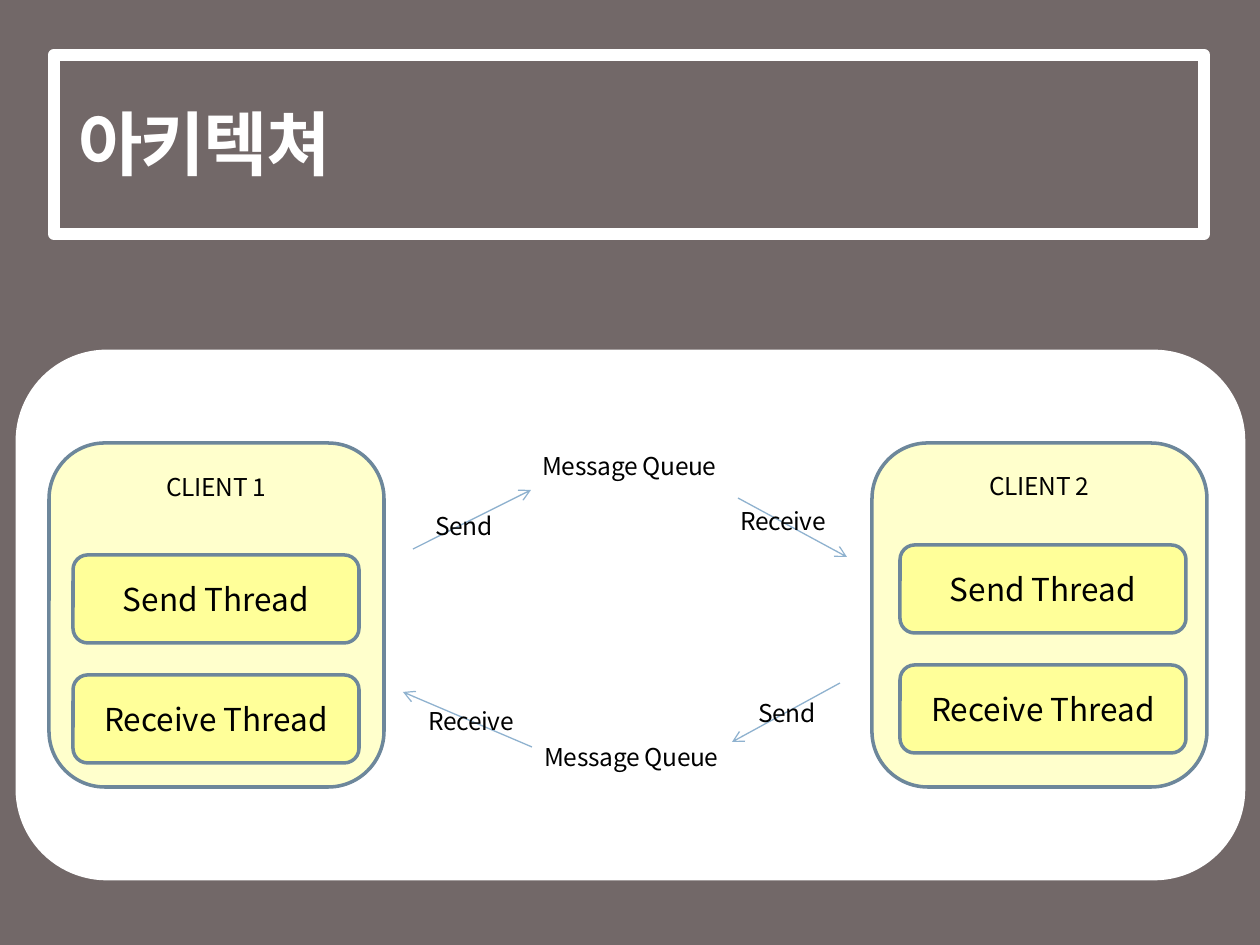
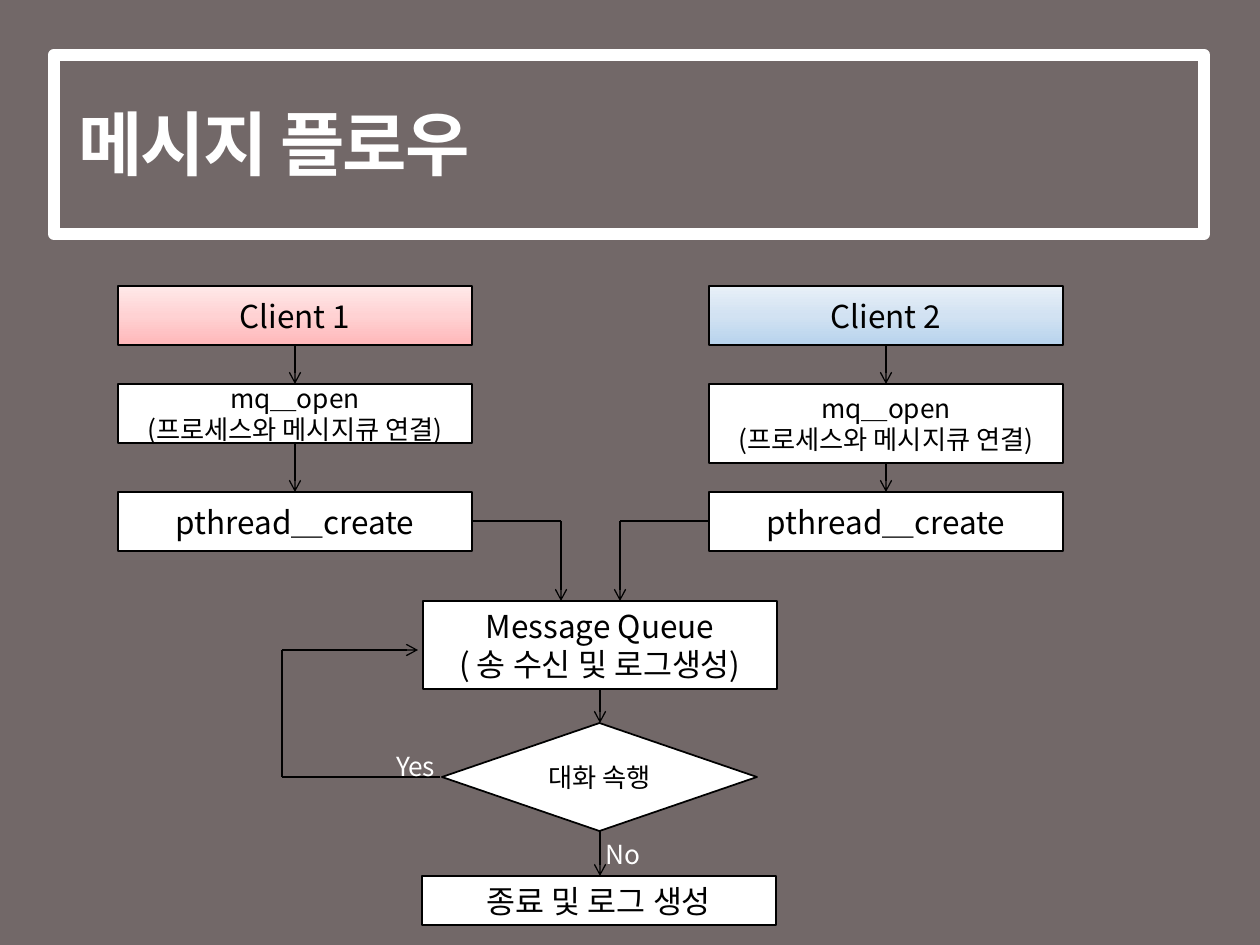
from copy import deepcopy

from pptx import Presentation
from pptx.dml.color import RGBColor
from pptx.enum.shapes import MSO_CONNECTOR, MSO_SHAPE
from pptx.enum.text import MSO_ANCHOR, MSO_AUTO_SIZE, PP_ALIGN
from pptx.oxml.ns import qn
from pptx.util import Pt

RECTANGLE = MSO_SHAPE.RECTANGLE
ROUNDED = MSO_SHAPE.ROUNDED_RECTANGLE
DECISION = MSO_SHAPE.FLOWCHART_DECISION
STRAIGHT = MSO_CONNECTOR.STRAIGHT
LEFT, CENTER = PP_ALIGN.LEFT, PP_ALIGN.CENTER
TOP, MIDDLE = MSO_ANCHOR.TOP, MSO_ANCHOR.MIDDLE
GROW = MSO_AUTO_SIZE.SHAPE_TO_FIT_TEXT

FONT = "Noto Sans CJK KR"
EMU_PER_PX = 914400 / 126
SLIDE_WIDTH, SLIDE_HEIGHT = 1260, 945

WHITE = RGBColor(0xFF, 0xFF, 0xFF)
BLACK = RGBColor(0x00, 0x00, 0x00)
BACKDROP = RGBColor(0x72, 0x68, 0x68)
CLIENT_FILL = RGBColor(0xFF, 0xFF, 0xCC)
THREAD_FILL = RGBColor(0xFF, 0xFF, 0x99)
CLIENT_LINE = RGBColor(0x6D, 0x87, 0x9B)
MESSAGE_LINE = RGBColor(0x8F, 0xB2, 0xCF)
PINKS = (RGBColor(0xFF, 0xB7, 0xB9), RGBColor(0xFF, 0xD2, 0xD3), RGBColor(0xFF, 0xE9, 0xE9))
BLUES = (RGBColor(0xB7, 0xD3, 0xED), RGBColor(0xD2, 0xE2, 0xF2), RGBColor(0xE8, 0xF0, 0xF8))


def px(length):
    """Turn pixels into EMU."""
    return round(length * EMU_PER_PX)


def write(shape, text, size=18, color=BLACK, bold=False, align=CENTER,
          anchor=MIDDLE, spacing=0, line_spacing=None, hanging=0):
    """Write the lines of text into a shape with one format."""
    frame = shape.text_frame
    frame.word_wrap = True
    frame.vertical_anchor = anchor
    for index, line in enumerate(text.split("\n")):
        paragraph = frame.add_paragraph() if index else frame.paragraphs[0]
        paragraph.alignment = align
        if line_spacing:
            paragraph.line_spacing = line_spacing
        if hanging:
            properties = paragraph._p.get_or_add_pPr()
            properties.set("marL", str(px(hanging)))
            properties.set("indent", str(-px(hanging)))
        run = paragraph.add_run()
        run.text = line
        run.font.size = Pt(size)
        run.font.bold = bold
        run.font.color.rgb = color
        run.font.name = FONT
        properties = run._r.get_or_add_rPr()
        east_asian = properties.makeelement(qn("a:ea"), {"typeface": FONT})
        properties.find(qn("a:latin")).addnext(east_asian)
        if spacing:
            properties.set("spc", str(round(spacing * 100)))


def add_text(slide, left, top, width, height, text, **text_format):
    """Add a text box and return it."""
    box = slide.shapes.add_textbox(px(left), px(top), px(width), px(height))
    write(box, text, **text_format)
    return box


def add_label(slide, left, top, width, height, text, size=14, color=BLACK, align=LEFT):
    """Add a growing diagram label."""
    label = add_text(slide, left, top, width, height, text, size=size, color=color, align=align,
                     anchor=TOP, spacing=-0.2, line_spacing=1.5, hanging=32)
    label.text_frame.auto_size = GROW


def add_box(slide, kind, left, top, width, height, fill=None, line=None, weight=1,
            text="", **text_format):
    """Add a preset shape; a tuple of colours makes a gradient rising from the bottom."""
    shape = slide.shapes.add_shape(kind, px(left), px(top), px(width), px(height))
    shape.shadow.inherit = False
    if fill is None:
        shape.fill.background()
    elif isinstance(fill, RGBColor):
        shape.fill.solid()
        shape.fill.fore_color.rgb = fill
    else:
        shape.fill.gradient()
        shape.fill.gradient_angle = 90
        stop_list = shape._element.spPr.find(".//" + qn("a:gsLst"))
        stop_list.insert(1, deepcopy(stop_list[0]))
        for index, (stop, color) in enumerate(zip(shape.fill.gradient_stops, fill)):
            stop.position = index / 2
            stop.color.rgb = color
    if line is None:
        shape.line.fill.background()
    else:
        shape.line.color.rgb = line
        shape.line.width = Pt(weight)
    if text:
        write(shape, text, **text_format)
    return shape


def add_arrow(slide, left, top, points, color=BLACK):
    """Join points, given relative to left and top, with an arrowhead at the last."""
    for start, end in zip(points, points[1:]):
        connector = slide.shapes.add_connector(
            STRAIGHT, px(left + start[0]), px(top + start[1]), px(left + end[0]), px(top + end[1]))
        connector.line.color.rgb = color
        connector.line.width = Pt(0.75)
        properties = connector._element.spPr
        properties.append(properties.makeelement(qn("a:effectLst"), {}))
    outline = connector.line._get_or_add_ln()
    outline.append(outline.makeelement(qn("a:tailEnd"), {"type": "arrow"}))


def add_titled_slide(presentation, title):
    """Add a slide with the backdrop and framed title."""
    slide = presentation.slides.add_slide(presentation.slide_layouts[6])
    add_box(slide, RECTANGLE, 0, 0, SLIDE_WIDTH, SLIDE_HEIGHT, fill=BACKDROP)
    left, top = 54, 55
    add_text(slide, left + 12, top + 8, 903, 159, title, size=40, color=WHITE, bold=True,
             align=LEFT, spacing=-1)
    add_box(slide, RECTANGLE, left, top, 1150, 179, line=WHITE, weight=7)
    return slide


def draw_client(slide, left, top, name, label_top, thread_left, thread_top):
    """Draw a client with its two threads."""
    width = 335
    add_box(slide, ROUNDED, left, top, width, 344, CLIENT_FILL, CLIENT_LINE, 2)
    for index, thread in enumerate(("Send Thread", "Receive Thread")):
        add_box(slide, ROUNDED, left + thread_left, top + thread_top + 120 * index, 286, 88,
                THREAD_FILL, CLIENT_LINE, 2, thread)
    add_label(slide, left, top + label_top, width, 52, name, align=CENTER)


def draw_exchange(slide, left, top):
    """Draw the message arrows and labels between the clients."""
    arrows = (
        ((393, 195), (511, 136)),
        ((718, 144), (827, 203)),
        ((820, 329), (712, 388)),
        ((512, 393), (383, 338)),
    )
    labels = (
        ("Message Queue", 510, 76), ("Message Queue", 512, 367),
        ("Send", 403, 136), ("Receive", 708, 131),
        ("Send", 726, 323), ("Receive", 396, 331),
    )
    for points in arrows:
        add_arrow(slide, left, top, points, MESSAGE_LINE)
    for text, label_left, label_top in labels:
        add_label(slide, left + label_left, top + label_top, 207, 52, text)


def draw_architecture(slide, left, top, width, height):
    """Draw the panel with two clients and their message queues."""
    add_box(slide, ROUNDED, left, top, width, height, WHITE, WHITE, 5)
    draw_exchange(slide, left, top)
    draw_client(slide, left + 29, top + 89, "CLIENT 1", 8, 24, 112)
    draw_client(slide, left + 852, top + 89, "CLIENT 2", 7, 28, 102)


def draw_client_steps(slide, left, top, name, fill, open_height, exit_left, merge_left):
    """Draw the start-up steps of a client and its way into the queue."""
    width, height, middle = 354, 59, 177
    open_top, create_top = 98, 206
    create_middle = create_top + height // 2
    add_box(slide, RECTANGLE, left, top, width, height, fill, BLACK, text=name)
    add_box(slide, RECTANGLE, left, top + open_top, width, open_height, WHITE, BLACK,
            text="mq＿open\n(프로세스와 메시지큐 연결)", size=15)
    add_box(slide, RECTANGLE, left, top + create_top, width, height, WHITE, BLACK,
            text="pthread＿create")
    for points in (
        ((middle, height), (middle, open_top)),
        ((middle, open_top + open_height), (middle, create_top)),
        ((exit_left, create_middle), (merge_left, create_middle), (merge_left, 315)),
    ):
        add_arrow(slide, left, top, points)


def draw_queue_loop(slide, left, top):
    """Draw the queue, the decision with its loop, and the end."""
    width, height, middle = 354, 88, 177
    add_box(slide, RECTANGLE, left, top, width, height, WHITE, BLACK,
            text="Message Queue\n( 송 수신 및 로그생성)")
    add_box(slide, DECISION, left + 19, top + 122, 315, 108, WHITE, BLACK,
            text="대화 속행", size=15)
    add_box(slide, RECTANGLE, left - 1, top + 275, width, 49, WHITE, BLACK,
            text="종료 및 로그 생성")
    for points in (
        ((middle, height), (middle, 122)),
        ((middle, 230), (middle, 275)),
        ((17, 176), (-141, 176), (-141, 49), (-5, 49)),
    ):
        add_arrow(slide, left, top, points)
    for text, label_left, label_top in (("Yes", -39, 127), ("No", 170, 215)):
        add_label(slide, left + label_left, top + label_top, 69, 55, text, size=15, color=WHITE)


def main():
    """Build both slides and save them."""
    presentation = Presentation()
    presentation.slide_width = px(SLIDE_WIDTH)
    presentation.slide_height = px(SLIDE_HEIGHT)

    architecture = add_titled_slide(presentation, "아키텍쳐")
    draw_architecture(architecture, 20, 354, 1221, 522)

    flow = add_titled_slide(presentation, "메시지 플로우")
    draw_client_steps(flow, 118, 286, "Client 1", PINKS, 59, 354, 443)
    draw_client_steps(flow, 709, 286, "Client 2", BLUES, 79, 0, -89)
    draw_queue_loop(flow, 423, 601)

    presentation.save("out.pptx")


if __name__ == "__main__":
    main()
